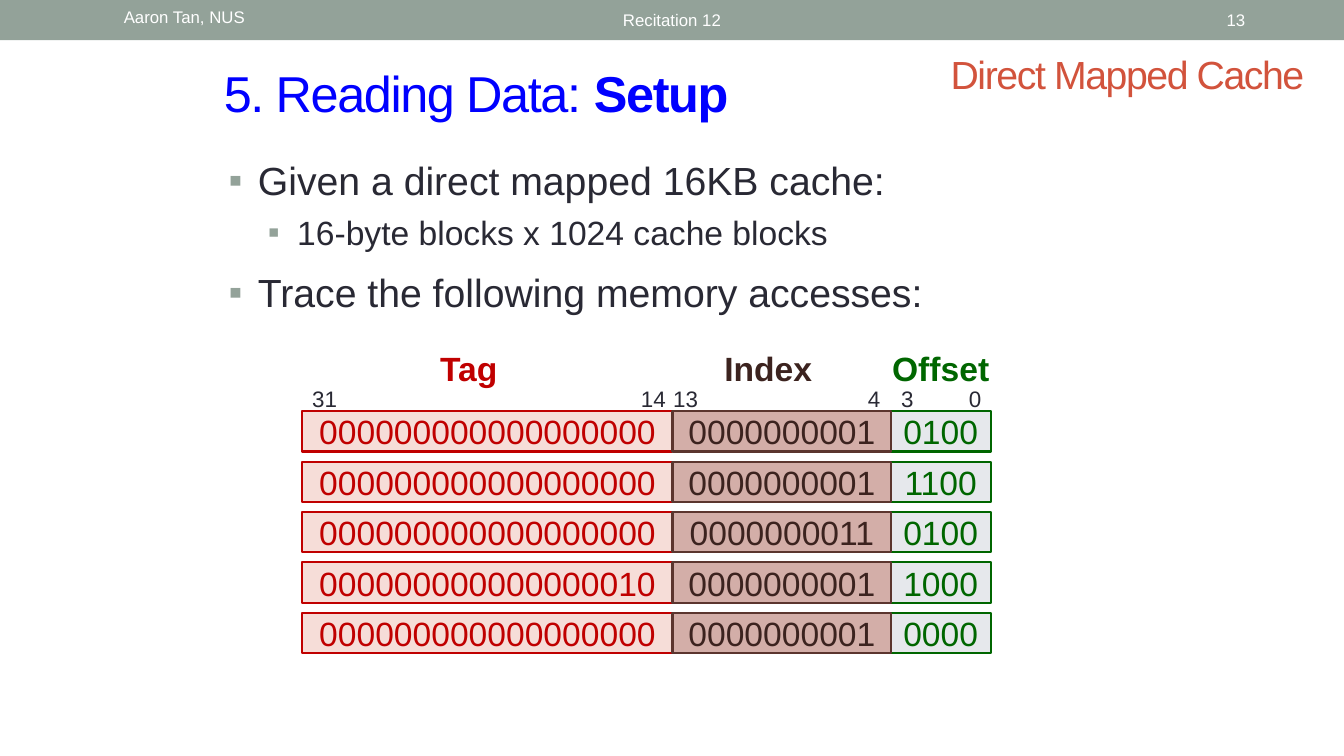
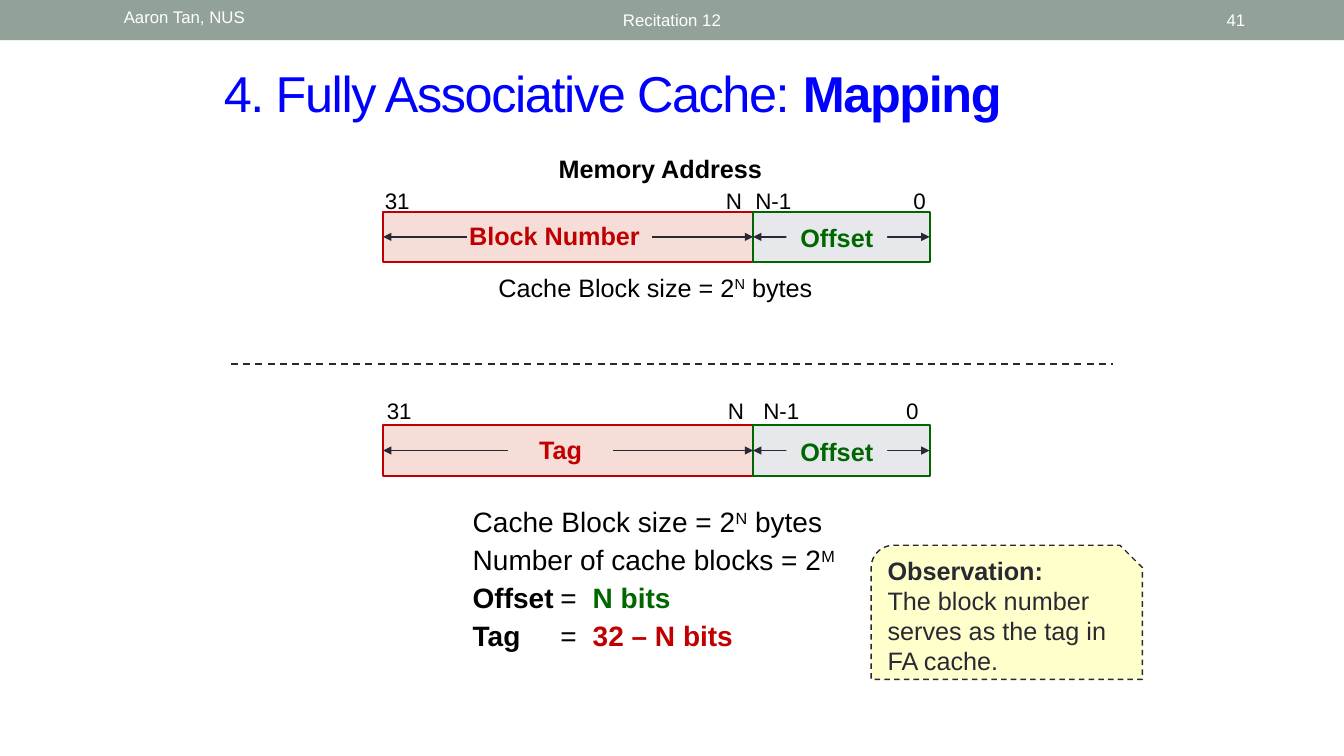
"""Build two recitation slides on direct mapped and fully associative caches."""
from lxml import etree
from pptx import Presentation
from pptx.dml.color import RGBColor
from pptx.enum.dml import MSO_LINE
from pptx.enum.shapes import MSO_CONNECTOR, MSO_SHAPE
from pptx.enum.text import MSO_ANCHOR, MSO_AUTO_SIZE, PP_ALIGN
from pptx.oxml.ns import qn
from pptx.util import Inches, Pt

COLORS = {
    "band": "93A299", "white": "FFFFFF", "black": "000000", "ink": "292934",
    "title": "0000FF", "topic": "D2533C", "note": "FFFFCC",
    "tag": "C00000", "tag_fill": "F6DDD8",
    "index": "3C231F", "index_line": "5B352E", "index_fill": "D3AEA8",
    "offset": "006600", "offset_fill": "E6E8EC",
}
FONT = "Arial"
LEFT, CENTER, RIGHT = PP_ALIGN.LEFT, PP_ALIGN.CENTER, PP_ALIGN.RIGHT
TOP, MIDDLE = MSO_ANCHOR.TOP, MSO_ANCHOR.MIDDLE

BULLETS = [
    ("Given a direct mapped 16KB cache:", 28, 0.29, 0),
    ("16-byte blocks x 1024 cache blocks", 24, 0.68, 6),
    ("Trace the following memory accesses:", 28, 0.29, 12),
]
FIELDS = [
    {"name": "Tag", "left": 3, "width": 3.67, "center": 4.65,
     "color": "tag", "line": "tag", "fill": "tag_fill"},
    {"name": "Offset", "left": 8.83, "width": 1, "center": 9.33,
     "color": "offset", "line": "offset", "fill": "offset_fill"},
    {"name": "Index", "left": 6.67, "width": 2.17, "center": 7.62,
     "color": "index", "line": "index_line", "fill": "index_fill"},
]
ACCESSES = [
    ("000000000000000000", "0100", "0000000001"),
    ("000000000000000000", "1100", "0000000001"),
    ("000000000000000000", "0100", "0000000011"),
    ("000000000000000010", "1000", "0000000001"),
    ("000000000000000000", "0000", "0000000001"),
]
ACCESS_MARKS = [("31", 3.22), ("14", 6.48), ("13", 6.8),
                ("4", 8.67), ("3", 9), ("0", 9.67)]
ADDRESSES = [
    {"name": "Block Number", "center": 5.5, "gap": (4.63, 6.47), "top": 2.1, "mark_top": 1.81,
     "marks": [("31", 3.94), ("N", 7.28), ("N-1", 7.67), ("0", 9.12)]},
    {"name": "Tag", "center": 5.56, "gap": (5.04, 6.08), "top": 4.22, "mark_top": 3.89,
     "marks": [("31", 3.96), ("N", 7.3), ("N-1", 7.75), ("0", 9.05)]},
]
BOLD = {"bold": True}
SUPER = {"baseline": "30000"}
BLOCK_SIZE = [("Cache Block size = 2", {}), ("N", SUPER), (" bytes", {})]
FORMULAS = [
    BLOCK_SIZE,
    [("Number of cache blocks = 2", {}), ("M", SUPER)],
    [("Offset", BOLD), ("\t=\t", {}), ("N bits", {"bold": True, "color": "offset"})],
    [("Tag", BOLD), ("\t=\t", {}), ("32 – N bits", {"bold": True, "color": "tag"})],
]
FORMULA_TABS = (0.87, 1.19)
NOTE = [
    [("Observation:", BOLD)],
    [("The block number serves as the tag in FA cache.", {})],
]


def rgb(name):
    return RGBColor.from_string(COLORS[name])


def add_runs(para, runs, **base):
    for text, changes in runs:
        span = para.add_run()
        span.text = text
        style = {"size": 18, "color": "ink", **base, **changes}
        span.font.color.rgb = rgb(style["color"])
        for name, value in {"name": FONT, "size": Pt(style["size"]),
                            "bold": style.get("bold", False)}.items():
            setattr(span.font, name, value)
        for name in ("baseline", "spc"):
            if name in style:
                span._r.get_or_add_rPr().set(name, style[name])


def write(box, paragraphs, align=LEFT, anchor=TOP, wrap=True, gap=0, **base):
    frame = box.text_frame
    for name, value in {"auto_size": MSO_AUTO_SIZE.NONE, "word_wrap": wrap,
                        "vertical_anchor": anchor}.items():
        setattr(frame, name, value)
    for number, runs in enumerate(paragraphs):
        para = frame.add_paragraph() if number else frame.paragraphs[0]
        para.alignment = align
        if number and gap:
            para.space_before = Pt(gap)
        add_runs(para, runs, **base)
    return frame


def add_text(page, place, paragraphs, **style):
    box = page.shapes.add_textbox(*map(Inches, place))
    return write(box, paragraphs, **style)


def add_label(page, text, center, top, width=1.2, height=0.37, **style):
    place = (center - width / 2, top, width, height)
    add_text(page, place, [[(text, {})]], align=CENTER, wrap=False, **style)


def add_marks(page, marks, top, color):
    for text, center in marks:
        add_label(page, text, center, top, width=0.5, size=16, color=color)


def style_line(line, color, width, dash=None):
    line.color.rgb = rgb(color)
    line.width = Pt(width)
    if dash:
        line.dash_style = dash


def add_box(page, place, fill, line=None, width=1.5, dash=None, kind=MSO_SHAPE.RECTANGLE):
    box = page.shapes.add_shape(kind, *map(Inches, place))
    box.shadow.inherit = False
    box.fill.solid()
    box.fill.fore_color.rgb = rgb(fill)
    if line:
        style_line(box.line, line, width, dash)
    else:
        box.line.fill.background()
    return box


def add_line(page, start, end, width=1, dash=None, heads=()):
    line = page.shapes.add_connector(MSO_CONNECTOR.STRAIGHT, *map(Inches, start + end))
    style_line(line.line, "ink", width, dash)
    for head in heads:
        etree.SubElement(line.line._get_or_add_ln(), qn(f"a:{head}"), type="triangle")
    etree.SubElement(line._element.spPr, qn("a:effectLst"))
    return line


def add_page(deck, title, topic, number):
    page = deck.slides.add_slide(deck.slide_layouts[5])
    add_box(page, (0, 0, 13.33, 0.4), "band")
    heading = page.shapes.title
    for name, value in zip(("left", "top", "width", "height"), (2.12, 0.57, 9.21, 0.7)):
        setattr(heading, name, Inches(value))
    write(heading, [[(title, {}), (topic, BOLD)]], anchor=MIDDLE,
          size=36, color="title", spc="-100")
    for text, left, width, align, anchor in (
            ("Recitation 12", 3.02, 7.29, CENTER, MIDDLE),
            ("Aaron Tan, NUS", 1.13, 3.17, LEFT, TOP),
            (number, 11.5, 0.95, RIGHT, MIDDLE)):
        add_text(page, (left, 0.02, width, 0.36), [[(text, {})]],
                 align=align, anchor=anchor, size=12, color="white")
    return page


def add_bullets(page):
    frame = add_text(page, (2.17, 1.5, 9, 1.92), [])
    for number, (text, size, margin, before) in enumerate(BULLETS):
        para = frame.add_paragraph() if number else frame.paragraphs[0]
        if before:
            para.space_before = Pt(before)
        props = para._p.get_or_add_pPr()
        props.set("marL", str(Inches(margin)))
        props.set("indent", str(-Inches(0.29)))
        color = etree.SubElement(props, qn("a:buClr"))
        etree.SubElement(color, qn("a:srgbClr"), val=COLORS["band"])
        etree.SubElement(props, qn("a:buFont"), typeface=FONT)
        etree.SubElement(props, qn("a:buChar"), char="▪")
        add_runs(para, [(text, {})], size=size)


def add_setup_page(deck):
    page = add_page(deck, "5. Reading Data: ", "Setup", "13")
    add_text(page, (9.33, 0.44, 3.88, 0.58), [[("Direct Mapped Cache", {})]],
             anchor=MIDDLE, size=28, color="topic", spc="-100")
    add_bullets(page)
    for field in FIELDS:
        add_label(page, field["name"], field["center"], 3.4, height=0.5,
                  size=24, color=field["color"], bold=True)
    add_marks(page, ACCESS_MARKS, 3.77, "ink")
    for row, access in enumerate(ACCESSES):
        for field, bits in zip(FIELDS, access):
            place = (field["left"], 4.08 + 0.5 * row, field["width"], 0.4)
            cell = add_box(page, place, field["fill"], field["line"])
            write(cell, [[(bits, {})]], align=CENTER, anchor=MIDDLE,
                  size=24, color=field["color"])


def add_address(page, address):
    top, middle = address["top"], address["top"] + 0.25
    add_marks(page, address["marks"], address["mark_top"], "black")
    tag = add_box(page, (3.8, top, 3.67, 0.5), "tag_fill", "tag")
    offset = add_box(page, (7.47, top, 1.75, 0.5), "offset_fill", "offset")
    add_label(page, address["name"], address["center"], top + 0.04, width=1.9,
              color="tag", bold=True)
    for start, end, side in zip(address["gap"], (3.8, 7.47), (1, 3)):
        arrow = add_line(page, (start, middle), (end, middle), heads=["tailEnd"])
        arrow.end_connect(tag, side)
    span = add_line(page, (9.22, middle), (7.47, middle), heads=["headEnd", "tailEnd"])
    span.begin_connect(offset, 3)
    span.end_connect(offset, 1)
    label = add_box(page, (7.8, top + 0.06, 1, 0.4), "offset_fill")
    write(label, [[("Offset", {})]], align=CENTER, color="offset", bold=True)


def add_mapping_page(deck):
    page = add_page(deck, "4. Fully Associative Cache: ", "Mapping", "41")
    add_label(page, "Memory Address", 6.55, 1.47, width=2.24, color="black", bold=True)
    for address in ADDRESSES:
        add_address(page, address)
    add_text(page, (4.04, 2.65, 4.92, 0.4), [BLOCK_SIZE], align=CENTER, color="black")
    add_line(page, (2.29, 3.61), (11.04, 3.61), width=1.25, dash=MSO_LINE.DASH)
    frame = add_text(page, (4.59, 4.96, 4, 1.52), FORMULAS, gap=3, size=20, color="black")
    for para in frame.paragraphs[2:]:
        tabs = etree.SubElement(para._p.get_or_add_pPr(), qn("a:tabLst"))
        for stop in FORMULA_TABS:
            etree.SubElement(tabs, qn("a:tab"), pos=str(Inches(stop)), algn="l")
    note = add_box(page, (8.64, 5.41, 2.69, 1.33), "note", "ink", 1, MSO_LINE.DASH,
                   MSO_SHAPE.SNIP_ROUND_RECTANGLE)
    write(note, NOTE, anchor=MIDDLE)


def main():
    deck = Presentation()
    deck.slide_width, deck.slide_height = Inches(13.33), Inches(7.5)
    add_setup_page(deck)
    add_mapping_page(deck)
    deck.save("out.pptx")


if __name__ == "__main__":
    main()
